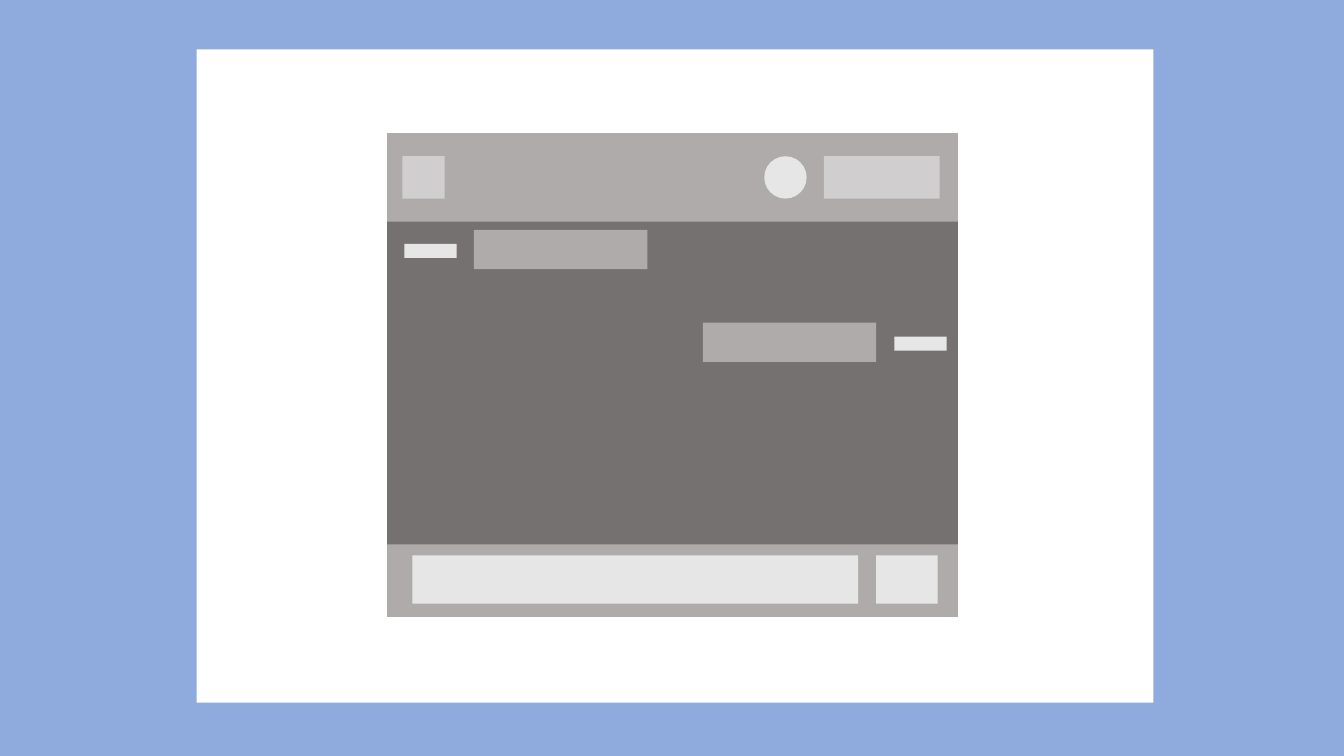
import dataclasses

import pptx
import pptx.dml.color
import pptx.enum.shapes
import pptx.util

Inches = pptx.util.Inches
RECTANGLE = pptx.enum.shapes.MSO_SHAPE.RECTANGLE
OVAL = pptx.enum.shapes.MSO_SHAPE.OVAL


@dataclasses.dataclass(frozen=True)
class Theme:
    """Colours of the wireframe."""
    background: str = "8FAADC"
    page: str = "FFFFFF"
    conversation: str = "767171"
    bar: str = "AFABAB"
    button: str = "D0CECE"
    light: str = "E7E6E6"


@dataclasses.dataclass(frozen=True)
class Box:
    """A rectangle in inches."""
    left: float
    top: float
    width: float
    height: float

    def inner(self, left, top, width, height):
        """Return a box placed relative to this one."""
        return Box(self.left + left, self.top + top, width, height)


THEME = Theme()


def add_block(shapes, box, colour, kind=RECTANGLE):
    """Add one flat, borderless shape."""
    shape = shapes.add_shape(kind, Inches(box.left), Inches(box.top),
                             Inches(box.width), Inches(box.height))
    shape.shadow.inherit = False
    shape.fill.solid()
    shape.fill.fore_color.rgb = pptx.dml.color.RGBColor.from_string(colour)
    shape.line.fill.background()


def add_message(shapes, box, sender_on_left):
    """Add a message bubble with its sender label on one side."""
    label_width, bubble_width = 0.52, 1.72
    label_left = 0 if sender_on_left else box.width - label_width
    bubble_left = box.width - bubble_width if sender_on_left else 0
    add_block(shapes, box.inner(label_left, 0.14, label_width, 0.14), THEME.light)
    add_block(shapes, box.inner(bubble_left, 0, bubble_width, box.height), THEME.bar)


def add_conversation(shapes, box):
    """Add the message area with a received and a sent message."""
    add_block(shapes, box, THEME.conversation)
    add_message(shapes, box.inner(0.17, 0.12, 2.41, 0.39), sender_on_left=True)
    add_message(shapes, box.inner(3.13, 1.04, 2.42, 0.39), sender_on_left=False)


def add_input_bar(shapes, box):
    """Add the bottom bar with the text field and the send button."""
    add_block(shapes, box, THEME.bar)
    for left, width in ((0.25, 4.42), (4.85, 0.61)):
        add_block(shapes, box.inner(left, 0.11, width, 0.48), THEME.light)


def add_header(shapes, box):
    """Add the top bar with the account button, avatar and menu button."""
    size = 0.42
    top = (box.height - size) / 2
    add_block(shapes, box, THEME.bar)
    add_block(shapes, box.inner(4.33, top, 1.15, size), THEME.button)
    add_block(shapes, box.inner(3.74, top, size, size), THEME.light, OVAL)
    add_block(shapes, box.inner(0.15, top, size, size), THEME.button)


def add_chat_window(slide, box):
    """Add the chat window as one group of three regions."""
    shapes = slide.shapes.add_group_shape().shapes
    add_conversation(shapes, box.inner(0, 0.84, box.width, 3.95))
    add_input_bar(shapes, box.inner(0, 4.08, box.width, 0.72))
    add_header(shapes, box.inner(0, 0, box.width, 0.88))


def build_slide(presentation):
    """Build the wireframe slide: background, page and chat window."""
    slide = presentation.slides.add_slide(presentation.slide_layouts[6])
    fill = slide.background.fill
    fill.solid()
    fill.fore_color.rgb = pptx.dml.color.RGBColor.from_string(THEME.background)
    page = Box(1.95, 0.49, 9.49, 6.48)
    add_block(slide.shapes, page, THEME.page)
    add_chat_window(slide, page.inner(1.89, 0.83, 5.66, 4.8))


presentation = pptx.Presentation()
presentation.slide_width = Inches(13.33)
presentation.slide_height = Inches(7.5)
build_slide(presentation)
presentation.save("out.pptx")
